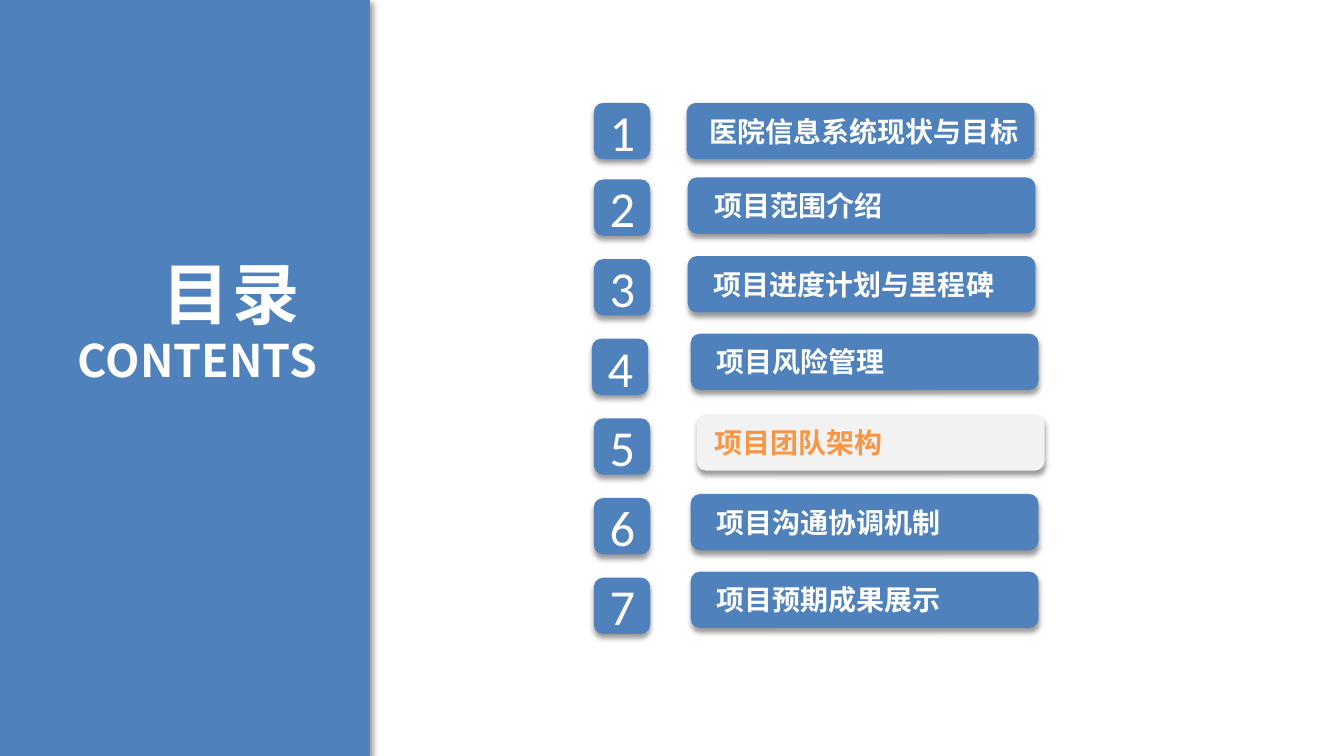
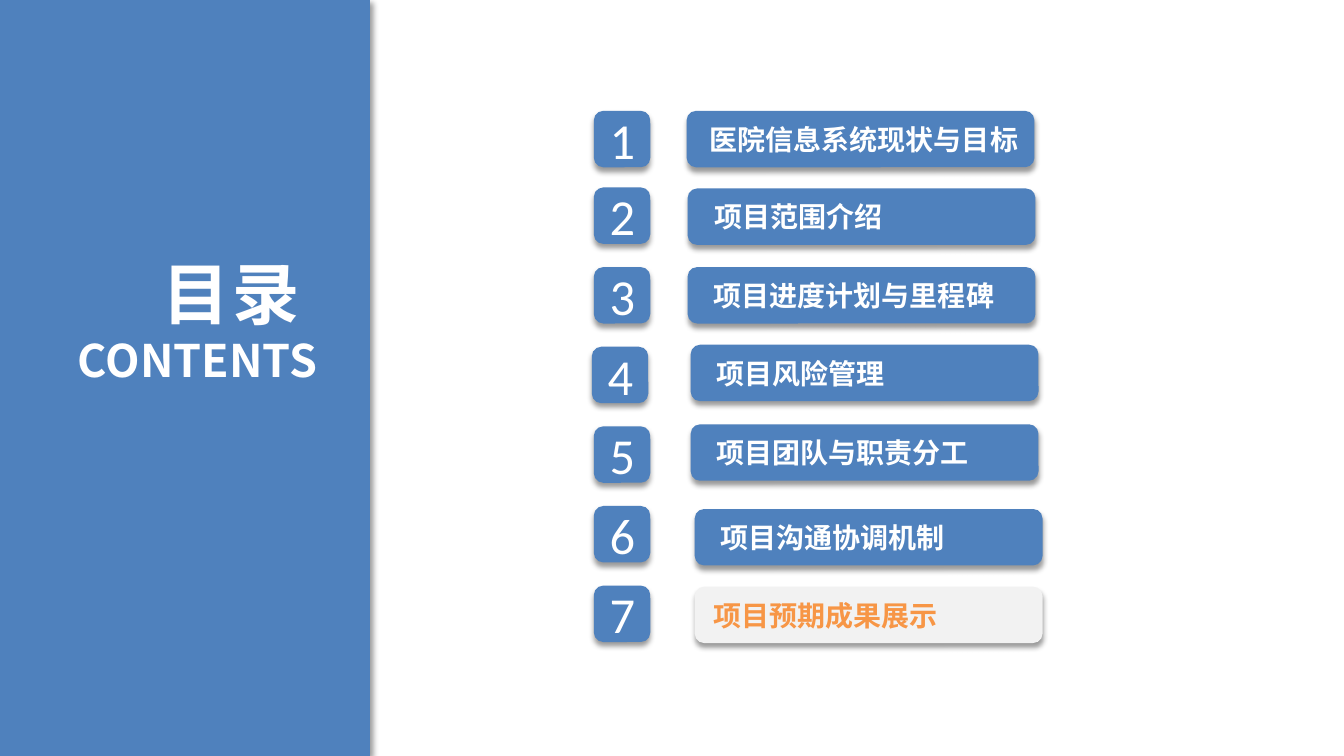
from dataclasses import dataclass

from pptx import Presentation
from pptx.dml.color import RGBColor
from pptx.enum.shapes import MSO_SHAPE
from pptx.enum.text import MSO_ANCHOR, PP_ALIGN
from pptx.oxml.ns import qn
from pptx.oxml.xmlchemy import OxmlElement
from pptx.shapes.autoshape import Shape
from pptx.slide import Slide
from pptx.text.text import _Paragraph
from pptx.util import Inches, Pt

BLUE = "4F81BD"
GRAY = "F2F2F2"
ORANGE = "F79646"
WHITE = "FFFFFF"
CHINESE_FONT = "Noto Sans CJK SC"
NUMBER_FONT = "Calibri"

ROW_HEIGHT = 0.56
PLATE_WIDTH = 3.45
SECOND_NUMBER_OFFSET = 0.76
NUMBER_STEP = 0.79
NUMBER_LEFTS = (5.89, 5.89, 5.89, 5.87, 5.89, 5.89, 5.89)


@dataclass(frozen=True)
class Entry:
    label: str
    left: float
    top: float
    indent: float = 0.23
    current: bool = False


@dataclass(frozen=True)
class Contents:
    number_top: float
    entries: tuple[Entry, ...]


CONTENTS_PAGES = (
    Contents(1.02, (
        Entry("医院信息系统现状与目标", 6.81, 1.02, 0.2),
        Entry("项目范围介绍", 6.82, 1.76, 0.24),
        Entry("项目进度计划与里程碑", 6.82, 2.54),
        Entry("项目风险管理", 6.85, 3.31),
        Entry("项目团队架构", 6.91, 4.11, 0.15, True),
        Entry("项目沟通协调机制", 6.85, 4.9),
        Entry("项目预期成果展示", 6.85, 5.67),
    )),
    Contents(1.1, (
        Entry("医院信息系统现状与目标", 6.81, 1.1, 0.2),
        Entry("项目范围介绍", 6.82, 1.87, 0.24),
        Entry("项目进度计划与里程碑", 6.82, 2.65),
        Entry("项目风险管理", 6.85, 3.42),
        Entry("项目团队与职责分工", 6.85, 4.21),
        Entry("项目沟通协调机制", 6.89, 5.05),
        Entry("项目预期成果展示", 6.89, 5.82, 0.16, True),
    )),
)


def color(value: str) -> RGBColor:
    return RGBColor.from_string(value)


def add_shadow(shape: Shape, angle: int) -> None:
    shape.shadow.inherit = False
    effects = shape._element.spPr.find(qn("a:effectLst"))
    shadow = OxmlElement("a:outerShdw")
    shadow.set("blurRad", str(Pt(4)))
    shadow.set("dist", str(Pt(3)))
    shadow.set("dir", str(angle * 60000))
    shadow.set("algn", "t")
    shadow.set("rotWithShape", "0")
    black = OxmlElement("a:srgbClr")
    black.set("val", "000000")
    alpha = OxmlElement("a:alpha")
    alpha.set("val", "40000")
    black.append(alpha)
    shadow.append(black)
    effects.append(shadow)


def add_block(page: Slide, kind: MSO_SHAPE, left: float, top: float,
              width: float, height: float, fill: str, angle: int = 90) -> Shape:
    block = page.shapes.add_shape(
        kind, Inches(left), Inches(top), Inches(width), Inches(height))
    block.fill.solid()
    block.fill.fore_color.rgb = color(fill)
    block.line.fill.background()
    add_shadow(block, angle)
    return block


def set_insets(shape: Shape, left: float = 0.13, right: float = 0.13) -> None:
    frame = shape.text_frame
    frame.margin_left = Inches(left)
    frame.margin_right = Inches(right)
    frame.margin_top = frame.margin_bottom = Inches(0.07)
    frame.word_wrap = True


def style(paragraph: _Paragraph, font: str, size: int, ink: str,
          align: PP_ALIGN, bold: bool = False, spacing: int = 0) -> None:
    paragraph.alignment = align
    for span in paragraph.runs:
        span.font.name = font
        span.font.size = Pt(size)
        span.font.bold = bold
        span.font.color.rgb = color(ink)
        properties = span._r.get_or_add_rPr()
        if spacing:
            properties.set("spc", str(spacing * 100))
        east_asian = OxmlElement("a:ea")
        east_asian.set("typeface", font)
        properties.find(qn("a:latin")).addnext(east_asian)


def add_title_panel(page: Slide) -> None:
    add_block(page, MSO_SHAPE.RECTANGLE, 0, 0, 3.67, 7.5, BLUE, 45)
    box = page.shapes.add_textbox(
        Inches(0.21), Inches(2.43), Inches(3.07), Inches(1.48))
    set_insets(box)
    box.text_frame.text = "目录 \nCONTENTS"
    title, subtitle = box.text_frame.paragraphs
    style(title, CHINESE_FONT, 48, WHITE, PP_ALIGN.RIGHT, True, 2)
    style(subtitle, CHINESE_FONT, 32, WHITE, PP_ALIGN.RIGHT, True)


def add_number(page: Slide, number: int, left: float, top: float) -> None:
    tile = add_block(page, MSO_SHAPE.ROUNDED_RECTANGLE, left, top,
                     ROW_HEIGHT, ROW_HEIGHT, BLUE)
    set_insets(tile)
    tile.text_frame.vertical_anchor = MSO_ANCHOR.MIDDLE
    tile.text_frame.text = str(number)
    style(tile.text_frame.paragraphs[0], NUMBER_FONT, 36, WHITE, PP_ALIGN.CENTER)


def add_entry(page: Slide, entry: Entry) -> None:
    plate = add_block(page, MSO_SHAPE.ROUNDED_RECTANGLE, entry.left, entry.top,
                      PLATE_WIDTH, ROW_HEIGHT, GRAY if entry.current else BLUE)
    set_insets(plate, entry.indent, 0)
    plate.text_frame.vertical_anchor = MSO_ANCHOR.MIDDLE
    plate.text_frame.text = entry.label
    style(plate.text_frame.paragraphs[0], CHINESE_FONT, 20,
          ORANGE if entry.current else WHITE, PP_ALIGN.LEFT, True)


def add_contents_page(deck: Presentation, contents: Contents) -> None:
    page = deck.slides.add_slide(deck.slide_layouts[6])
    add_title_panel(page)
    for index, (left, entry) in enumerate(zip(NUMBER_LEFTS, contents.entries)):
        top = contents.number_top
        if index:
            top += SECOND_NUMBER_OFFSET + (index - 1) * NUMBER_STEP
        add_number(page, index + 1, left, top)
        add_entry(page, entry)


def main() -> None:
    deck = Presentation()
    deck.slide_width = Inches(13.33)
    deck.slide_height = Inches(7.5)
    for contents in CONTENTS_PAGES:
        add_contents_page(deck, contents)
    deck.save("out.pptx")


if __name__ == "__main__":
    main()
